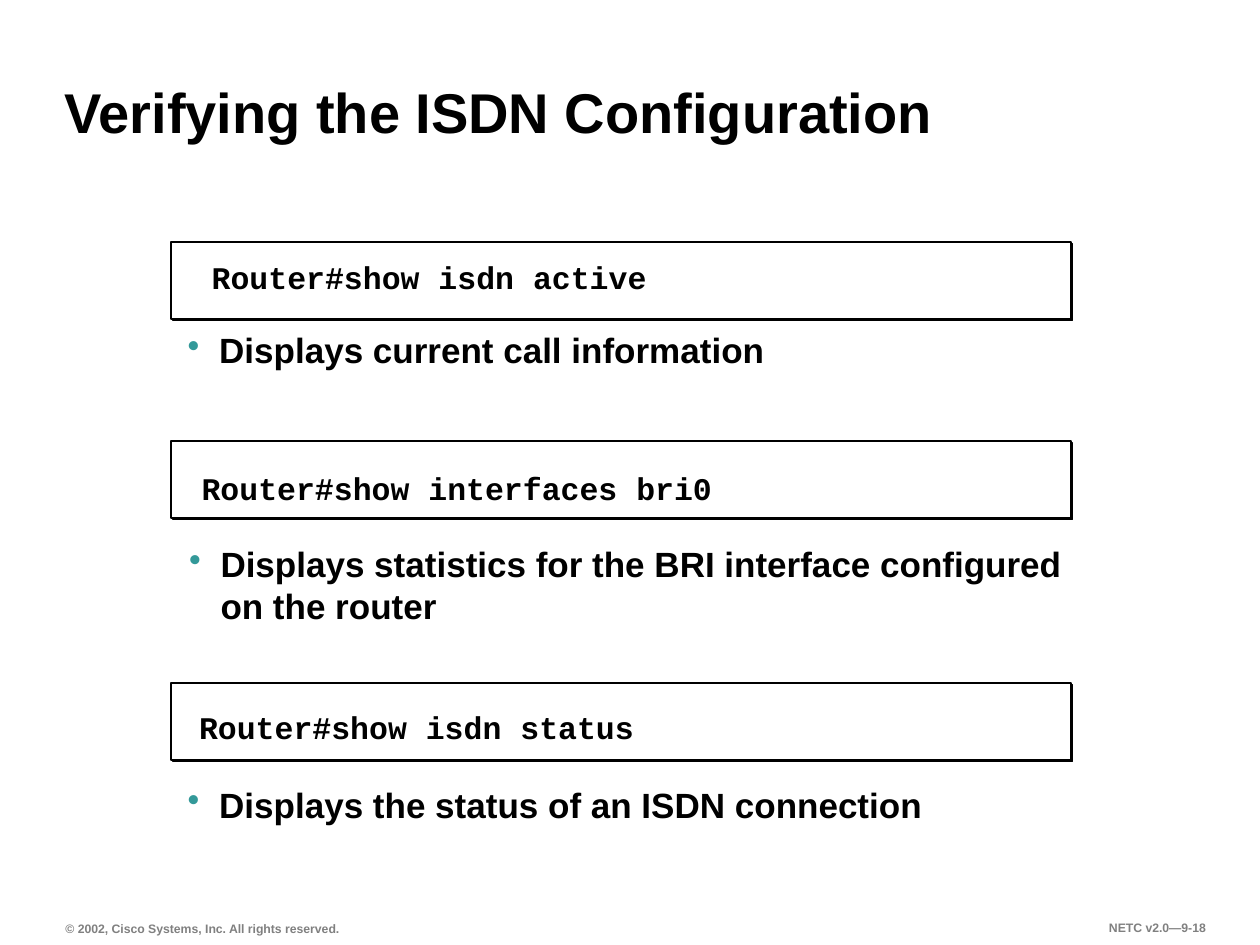
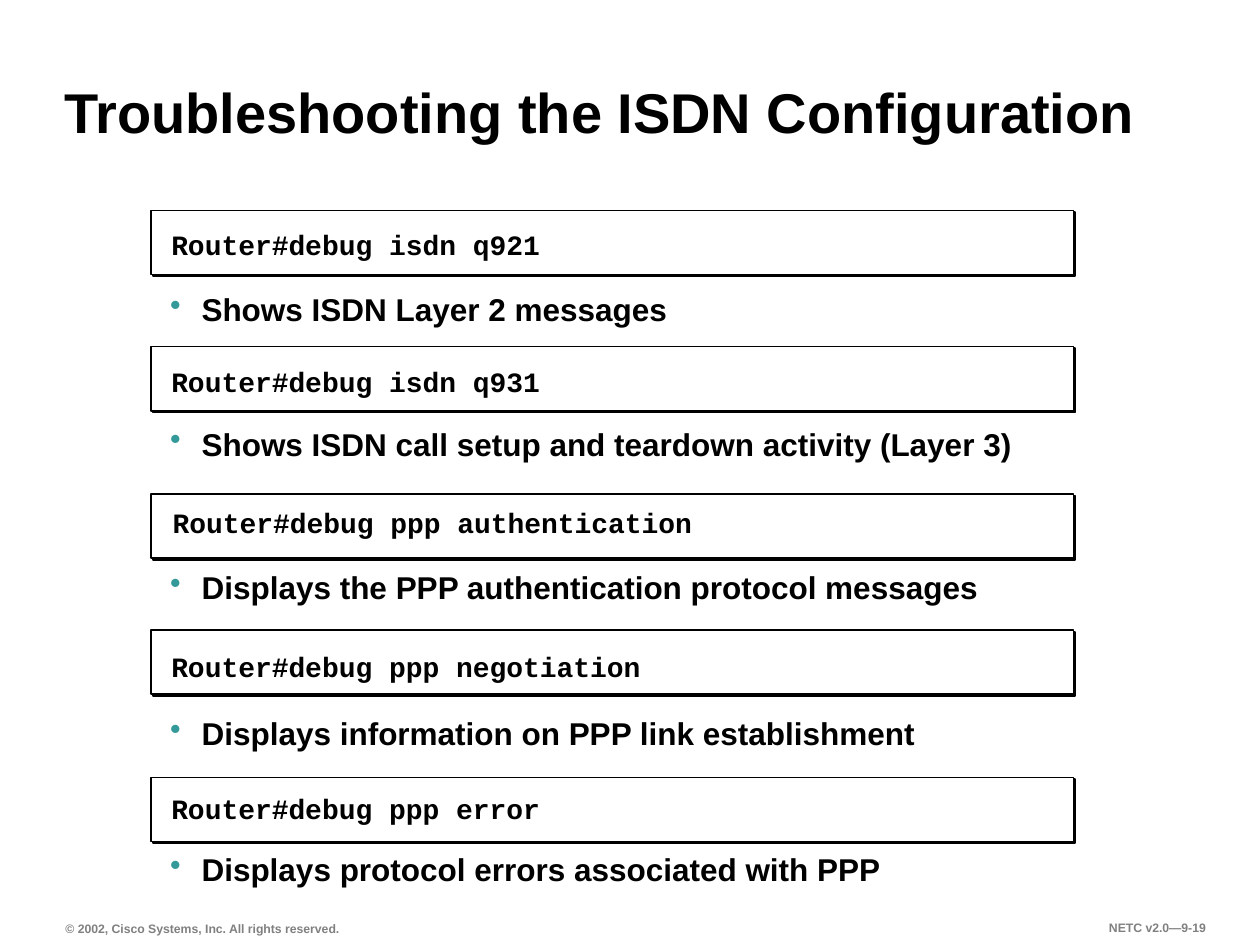
from dataclasses import dataclass
from typing import NamedTuple

from lxml import etree
from pptx import Presentation
from pptx import util as u
from pptx.dml.color import RGBColor
from pptx.enum import shapes, text
from pptx.oxml import ns

SCALE = 9144  # EMU in one px, 100 px to the inch
COLORS = {"ink": "000000", "paper": "FFFFFF", "foot": "808080", "dot": "339999"}
SANS, MONO = "Arial", "Courier New"
LEFT, RIGHT = text.PP_ALIGN.LEFT, text.PP_ALIGN.RIGHT
TOP, MID, LOW = (text.MSO_ANCHOR.TOP, text.MSO_ANCHOR.MIDDLE,
                 text.MSO_ANCHOR.BOTTOM)


class Area(NamedTuple):
    left: int
    top: int
    width: int
    height: int


class Pad(NamedTuple):
    left: int
    top: int
    right: int
    bottom: int


@dataclass(frozen=True)
class Style:
    font: str
    size: int
    pad: Pad
    color: str = "ink"
    anchor: text.MSO_ANCHOR = TOP
    align: text.PP_ALIGN = LEFT
    wrap: bool = False
    line: float | u.Pt | None = None
    after: int = 0
    dot: bool = False


@dataclass(frozen=True)
class Item:
    """A command in its frame, with the note below it."""
    top: int
    code: str
    code_at: Area
    note: str
    note_at: Area


@dataclass(frozen=True)
class Page:
    title: str
    width: int
    number: str
    left: int
    frame: tuple[int, int]
    code: Style
    note: Style
    items: list[Item]


EDGE = Pad(9, 4, 9, 4)
TITLE = Style(SANS, 32, EDGE, anchor=LOW, wrap=True, line=0.9)
RIGHTS = Style(SANS, 7, EDGE, "foot", LOW)
NUMBER = Style(SANS, 7, EDGE, "foot", align=RIGHT)

PAGES = [
    Page(
        "Verifying the ISDN Configuration", 834, "NETC v2.0—9-18",
        136, (714, 61),
        Style(MONO, 18, Pad(2, 3, 2, 3), line=u.Pt(20.2), after=9),
        Style(SANS, 20, Pad(11, 5, 11, 5), wrap=True, dot=True),
        [
            Item(192, "Router#show isdn active", Area(166, 204, 715, 62),
                 "Displays current call information",
                 Area(138, 256, 728, 44)),
            Item(350, "Router#show interfaces bri0", Area(158, 371, 263, 62),
                 "Displays statistics for the BRI interface configured "
                 "on the router", Area(139, 426, 732, 78)),
            Item(542, "Router#show isdn status", Area(156, 561, 263, 62),
                 "Displays the status of an ISDN connection",
                 Area(138, 617, 641, 44)),
        ],
    ),
    Page(
        "Troubleshooting the ISDN Configuration", 927, "NETC v2.0—9-19",
        120, (732, 51),
        Style(MONO, 16, Pad(0, 0, 0, 3), anchor=MID, line=u.Pt(20)),
        Style(SANS, 18, Pad(0, 0, 0, 5), anchor=MID, wrap=True,
              line=u.Pt(20), dot=True),
        [
            Item(167, "Router#debug isdn q921", Area(136, 179, 293, 31),
                 "Shows ISDN Layer 2 messages", Area(135, 232, 497, 33)),
            Item(275, "Router#debug isdn q931", Area(136, 288, 293, 31),
                 "Shows ISDN call setup and teardown activity (Layer 3)",
                 Area(135, 339, 759, 33)),
            Item(392, "Router#debug ppp authentication",
                 Area(137, 400, 412, 31),
                 "Displays the PPP authentication protocol messages",
                 Area(135, 453, 771, 33)),
            Item(500, "Router#debug ppp negotiation",
                 Area(136, 514, 373, 31),
                 "Displays information on PPP link establishment",
                 Area(135, 569, 665, 33)),
            Item(617, "Router#debug ppp error", Area(136, 627, 293, 31),
                 "Displays protocol errors associated with PPP",
                 Area(135, 677, 624, 33)),
        ],
    ),
]


def px(count: int) -> int:
    return count * SCALE


def rgb(name: str) -> RGBColor:
    return RGBColor.from_string(COLORS[name])


def add_tag(parent, tag: str, **attrs):
    return etree.SubElement(parent, ns.qn(tag), attrs)


def add_dot(para) -> None:
    """Give the paragraph a coloured bullet and a hanging indent."""
    props = para._p.get_or_add_pPr()
    props.set("marL", str(px(25)))
    props.set("indent", str(-px(25)))
    add_tag(add_tag(props, "a:buClr"), "a:srgbClr", val=COLORS["dot"])
    add_tag(props, "a:buChar", char="•")


def write(shape, words: str, style: Style) -> None:
    frame = shape.text_frame
    frame.text = words
    frame.auto_size = text.MSO_AUTO_SIZE.NONE
    frame.word_wrap = style.wrap
    frame.vertical_anchor = style.anchor
    for side, gap in style.pad._asdict().items():
        setattr(frame, f"margin_{side}", px(gap))
    para = frame.paragraphs[0]
    if style.dot:
        add_dot(para)
    para.alignment = style.align
    para.line_spacing = style.line
    para.space_after = u.Pt(style.after)
    font = para.runs[0].font
    font.name, font.size, font.bold = style.font, u.Pt(style.size), True
    font.color.rgb = rgb(style.color)


def add_text(slide, area: Area, words: str, style: Style) -> None:
    write(slide.shapes.add_textbox(*map(px, area)), words, style)


def add_frame(slide, area: Area) -> None:
    """Draw a white box with a hard shadow at its lower right."""
    box = slide.shapes.add_shape(shapes.MSO_SHAPE.RECTANGLE, *map(px, area))
    box.fill.solid()
    box.fill.fore_color.rgb = rgb("paper")
    box.line.color.rgb = rgb("ink")
    box.line.width = u.Pt(1)
    box.shadow.inherit = False
    effects = box._element.spPr.find(ns.qn("a:effectLst"))
    shade = add_tag(effects, "a:outerShdw", dist=str(u.Pt(1.4)),
                    dir="2700000", algn="ctr", rotWithShape="0")
    add_tag(shade, "a:srgbClr", val=COLORS["ink"])


def add_title(slide, words: str, width: int) -> None:
    title = slide.shapes.title
    title.left, title.top, title.width, title.height = map(
        px, Area(42, 28, width, 92))
    write(title, words, TITLE)


def add_foot(slide, number: str) -> None:
    add_text(slide, Area(43, 726, 236, 21),
             "© 2002, Cisco Systems, Inc. All rights reserved.", RIGHTS)
    add_text(slide, Area(838, 726, 128, 21), number, NUMBER)


def add_page(deck, page: Page) -> None:
    slide = deck.slides.add_slide(deck.slide_layouts.get_by_name("Title Only"))
    add_title(slide, page.title, page.width)
    add_foot(slide, page.number)
    for item in page.items:
        add_frame(slide, Area(page.left, item.top, *page.frame))
    for item in page.items:
        add_text(slide, item.code_at, item.code, page.code)
        add_text(slide, item.note_at, item.note, page.note)


def main() -> None:
    deck = Presentation()
    deck.slide_width, deck.slide_height = px(1000), px(750)
    for page in PAGES:
        add_page(deck, page)
    deck.save("out.pptx")


if __name__ == "__main__":
    main()
